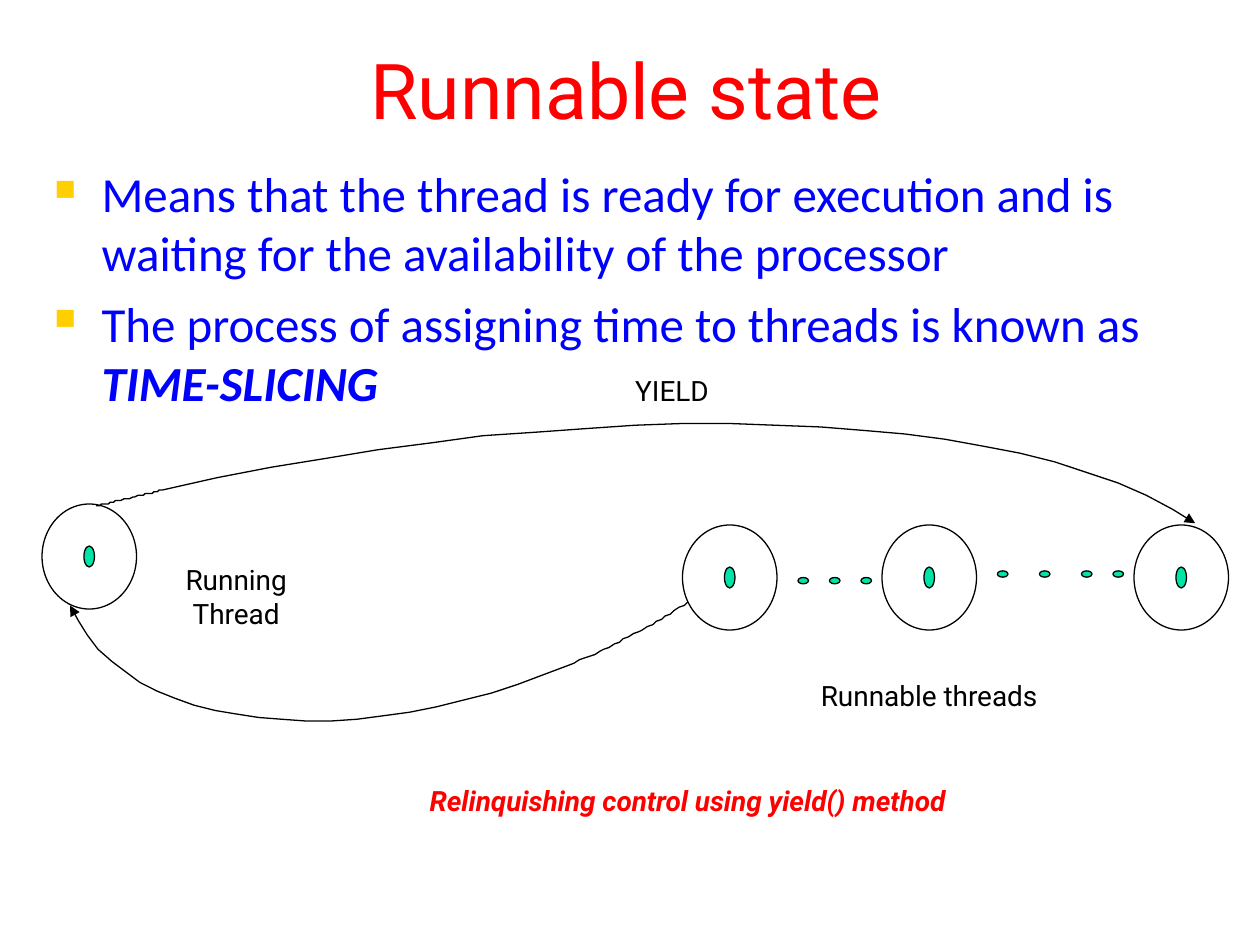
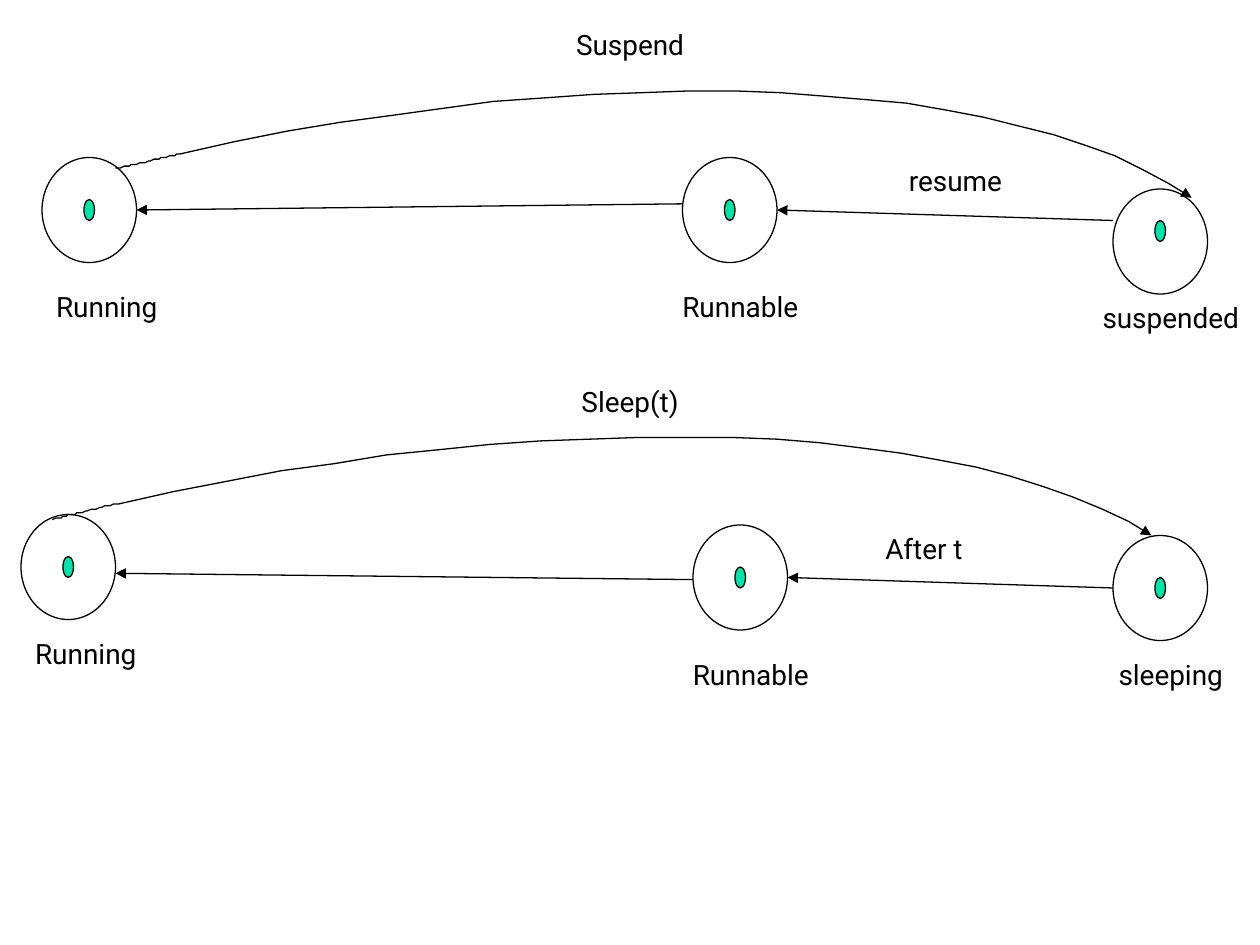
from lxml.etree import SubElement
from pptx import Presentation
from pptx.dml.color import RGBColor
from pptx.enum.shapes import MSO_CONNECTOR, MSO_SHAPE
from pptx.enum.text import MSO_ANCHOR, PP_ALIGN
from pptx.oxml.ns import qn
from pptx.util import Pt

WHITE = RGBColor(255, 255, 255)
BLACK = RGBColor(0, 0, 0)
RED = RGBColor(255, 0, 0)
BLUE = RGBColor(0, 0, 255)
GREEN = RGBColor(0, 228, 168)
GOLD = "FFCF01"
THIN = Pt(0.75)


def write(para, text, size=16, color=BLACK, face="Roboto", bold=False,
          align=PP_ALIGN.CENTER, before=10):
    para.alignment = align
    para.space_before = Pt(before)
    run = para.add_run()
    run.text = text
    font = run.font
    font.size = Pt(size)
    font.name = face
    font.bold = font.italic = bold
    font.color.rgb = color


def oval(slide, left, top, width, height, fill):
    shape = slide.shapes.add_shape(
        MSO_SHAPE.OVAL, Pt(left), Pt(top), Pt(width), Pt(height))
    shape.shadow.inherit = False
    shape.fill.solid()
    shape.fill.fore_color.rgb = fill
    shape.line.color.rgb = BLACK
    shape.line.width = THIN


deck = Presentation()
deck.slide_width, deck.slide_height = Pt(720), Pt(540)
ready, paused = [deck.slides.add_slide(deck.slide_layouts[6]) for _ in range(2)]

body = ready.shapes.add_textbox(Pt(24), Pt(90), Pt(678), Pt(350)).text_frame
body.word_wrap = True
prose = dict(size=28, color=BLUE, face="Calibri", align=PP_ALIGN.LEFT, before=7)
first, second = body.paragraphs[0], body.add_paragraph()
write(first, "Means that the thread is ready for execution and is waiting "
      "for the availability of the processor", **prose)
write(second, "The process of assigning time to threads is known as ", **prose)
write(second, "TIME-SLICING", bold=True, **prose)
for para in body.paragraphs:
    props = para._p.get_or_add_pPr()
    props.set("marL", str(Pt(27)))
    props.set("indent", str(Pt(-27)))
    tint = SubElement(props, qn("a:buClr"))
    SubElement(tint, qn("a:srgbClr"), val=GOLD)
    SubElement(props, qn("a:buSzPct"), val="60000")
    SubElement(props, qn("a:buChar"), char="■")

threads = [
    (ready, 24, 288, 24), (ready, 390, 300, 24),
    (ready, 504, 300, 24), (ready, 648, 300, 24),
    (paused, 24, 90, 24), (paused, 390, 90, 24), (paused, 636, 108, 18),
    (paused, 12, 294, 24), (paused, 396, 300, 24), (paused, 636, 306, 24),
]
for slide, left, top, drop in threads:
    oval(slide, left, top, 54, 60, WHITE)
    oval(slide, left + 24, top + drop, 6, 12, GREEN)

for top, lefts in [(330, (456, 474, 492)), (326.2, (570, 594, 618, 636))]:
    for left in lefts:
        oval(ready, left, top, 6, 3.6, GREEN)

leap = [(55.4, 289.2), (67.7, 286), (80.3, 283), (92.9, 280),
        (343.4, 223.2), (580.3, 231.1), (683.3, 298.8)]
arrows = [
    (ready, leap),
    (ready, [(393.1, 344.2), (373, 357.1), (351.4, 368.6), (328.3, 378.7),
             (200.9, 433.4), (71.3, 419), (40.3, 346.3)]),
    (paused, [(66.2, 96.5), (78.5, 93.6), (90.7, 90.7), (103, 87.8),
              (347.8, 32.4), (579.6, 42.5), (681.1, 113)]),
    (paused, [(x - 25.2, y + 7.6) for x, y in leap]),
    (paused, [(636, 126), (444, 120)]),
    (paused, [(390, 116.5), (78, 120)]),
    (paused, [(636, 336), (450, 330)]),
    (paused, [(396, 331.2), (66, 327.6)]),
]
for slide, points in arrows:
    if len(points) == 2:
        ends = [Pt(n) for point in points for n in point]
        arrow = slide.shapes.add_connector(MSO_CONNECTOR.STRAIGHT, *ends)
    else:
        trace = []
        for start in (0, 3):
            a, b, c, d = points[start:start + 4]
            for step in range(1, 25):
                t = step / 24
                u = 1 - t
                trace.append([
                    u**3 * a[i] + 3 * u * u * t * b[i]
                    + 3 * u * t * t * c[i] + t**3 * d[i] for i in (0, 1)])
        pen = slide.shapes.build_freeform(*points[0], scale=Pt(1))
        pen.add_line_segments(trace, close=False)
        arrow = pen.convert_to_shape()
        arrow.fill.background()
    arrow.line.color.rgb = BLACK
    arrow.line.width = THIN
    props = arrow.element.spPr
    SubElement(props.find(qn("a:ln")), qn("a:tailEnd"), type="triangle")
    SubElement(props, qn("a:effectLst"))

labels = [
    (ready, "Runnable state", 12, 12, 692, 78,
     dict(size=44, color=RED, before=0)),
    (ready, "YIELD", 318, 210, 132, 26.6, {}),
    (ready, "Running Thread", 84, 318, 102, 46, {}),
    (ready, "Runnable threads", 408, 384, 246, 26.6, {}),
    (ready, "Relinquishing control using yield() method", 198, 444, 390, 26.6,
     dict(color=RED, bold=True, before=0)),
    (paused, "Suspend", 294, 12, 132, 26.6, {}),
    (paused, "Running ", 12, 162, 102, 26.6, {}),
    (paused, "Runnable", 324, 162, 198, 26.6, {}),
    (paused, "suspended", 618, 168, 102, 26.6, {}),
    (paused, "resume", 492, 90, 108, 26.6, {}),
    (paused, "Sleep(t)", 294, 216, 132, 26.6, {}),
    (paused, "Running ", 0, 360, 102, 26.6, {}),
    (paused, "Runnable", 330, 372, 198, 26.6, {}),
    (paused, "sleeping", 618, 372, 102, 26.6, {}),
    (paused, "After t", 474, 300, 108, 26.6, {}),
]
for slide, text, left, top, width, height, style in labels:
    box = slide.shapes.add_textbox(Pt(left), Pt(top), Pt(width), Pt(height))
    frame = box.text_frame
    frame.word_wrap = True
    if height == 78:
        frame.vertical_anchor = MSO_ANCHOR.MIDDLE
    write(frame.paragraphs[0], text, **style)

deck.save("out.pptx")
